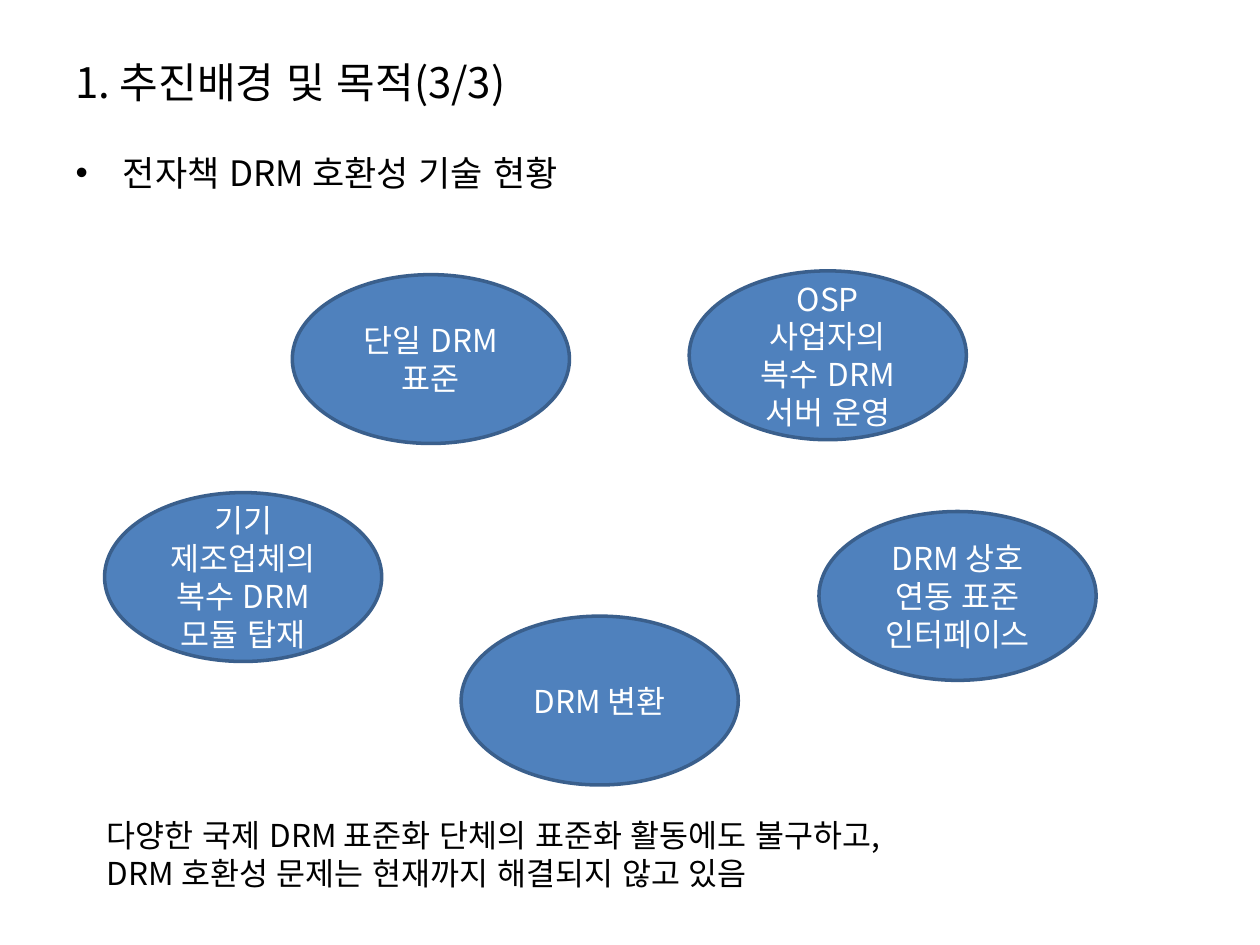
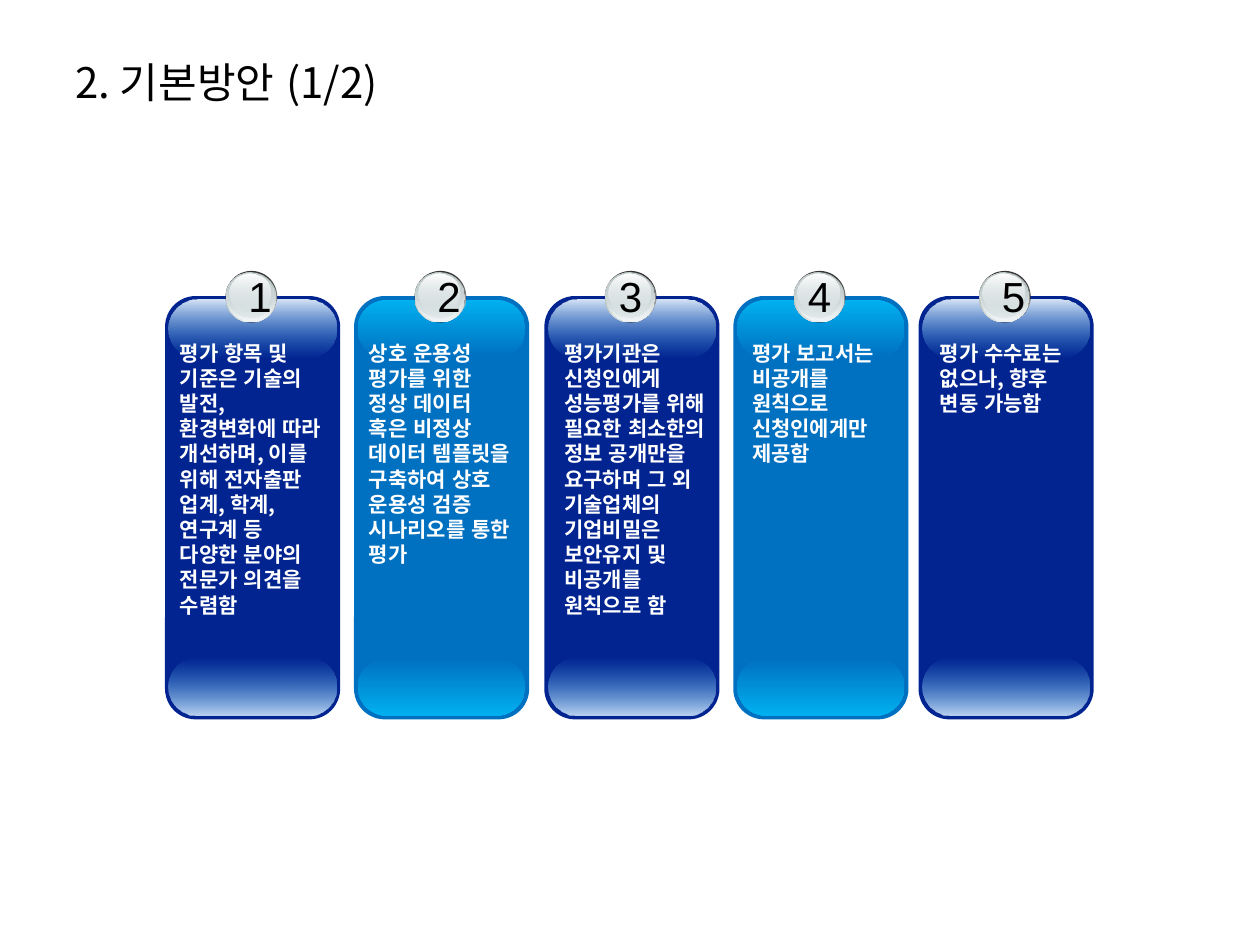
from dataclasses import dataclass

from lxml import etree
from pptx import Presentation
from pptx.dml.color import RGBColor
from pptx.enum import lang, shapes, text
from pptx.oxml.ns import qn
from pptx.util import Inches, Pt

KOREAN = "Noto Sans CJK KR"
BLACK, WHITE = "000000", "FFFFFF"
OVAL_FILL, OVAL_LINE = "4F81BD", "3A5F8C"
OVAL_SIZE = (2.2, 1.34)
PANEL_TOP, BADGE_TOP = 2.35, 2.15
BADGE_OFFSET = 0.48
LEFT, CENTER, JUSTIFY = (text.PP_ALIGN.LEFT, text.PP_ALIGN.CENTER,
                         text.PP_ALIGN.JUSTIFY)
OVAL, ROUNDED = shapes.MSO_SHAPE.OVAL, shapes.MSO_SHAPE.ROUNDED_RECTANGLE


@dataclass(frozen=True)
class Stop:
    color: str
    alpha: int = 100


@dataclass(frozen=True)
class Approach:
    label: str
    left: float
    top: float


@dataclass(frozen=True)
class Theme:
    base: str
    upper: tuple[Stop, Stop]
    lower: tuple[Stop, Stop]


@dataclass(frozen=True)
class Panel:
    left: float
    theme: Theme
    body: str
    text_shift: float
    number_shift: float


@dataclass(frozen=True)
class BadgeLayer:
    """One disc of the number badge, placed relative to the badge corner."""
    dx: float
    dy: float
    width: float
    height: float
    fill: str | tuple[Stop, Stop]


NAVY = Theme("022490", (Stop("D7E5F7"), Stop("3CA1E6", 0)),
             (Stop("3CA1E6", 0), Stop("BDD6F3")))
AZURE = Theme("0070C0", (Stop("00B0F0"), Stop("0070C0")),
              (Stop("0070C0"), Stop("00B0F0")))

BADGE = [
    BadgeLayer(0, 0, 0.41, 0.41, "333333"),
    BadgeLayer(0, 0.01, 0.4, 0.4, (Stop("99A1A2"), Stop("D6E1E2"))),
    BadgeLayer(0.01, 0.01, 0.39, 0.39, (Stop("D6E1E2", 0), Stop("F2F5F5"))),
    BadgeLayer(0.01, 0.01, 0.37, 0.36, (Stop("C1CBCC"), Stop("D6E1E2", 48))),
    BadgeLayer(0.03, 0.02, 0.33, 0.3, (Stop("FFFFFF"), Stop("D6E1E2", 38))),
]

APPROACHES = [
    Approach("단일 DRM 표준", 2.32, 2.18),
    Approach("OSP 사업자의 복수 DRM 서버 운영", 5.47, 2.15),
    Approach("기기 제조업체의 복수 DRM 모듈 탑재", 0.83, 3.91),
    Approach("DRM 변환", 3.66, 4.89),
    Approach("DRM 상호 연동 표준 인터페이스", 6.5, 4.06),
]

CONCLUSION = [
    "다양한 국제 DRM 표준화 단체의 표준화 활동에도 불구하고,",
    "DRM 호환성 문제는 현재까지 해결되지 않고 있음",
]

PANELS = [
    Panel(1.31, NAVY, "평가 항목 및 기준은 기술의 발전, 환경변화에 따라 개선하며, "
          "이를 위해 전자출판 업계, 학계, 연구계 등 다양한 분야의 전문가 의견을 수렴함",
          0.02, 0.07),
    Panel(2.81, AZURE, "상호 운용성 평가를 위한 정상 데이터 혹은 비정상 데이터 "
          "템플릿을 구축하여 상호 운용성 검증 시나리오를 통한 평가", 0.02, 0.07),
    Panel(4.32, NAVY, "평가기관은 신청인에게 성능평가를 위해 필요한 최소한의 정보 "
          "공개만을 요구하며 그 외 기술업체의 기업비밀은 보안유지 및 비공개를 "
          "원칙으로 함", 0.06, 0),
    Panel(5.82, AZURE, "평가 보고서는 비공개를 원칙으로 신청인에게만 제공함", 0.05, 0),
    Panel(7.29, NAVY, "평가 수수료는 없으나, 향후 변동 가능함", 0.07, 0.07),
]


def rgb(color: str) -> RGBColor:
    return RGBColor.from_string(color)


def place(sp, left: float, top: float, width: float, height: float) -> None:
    sp.left, sp.top = Inches(left), Inches(top)
    sp.width, sp.height = Inches(width), Inches(height)


def write(tf, lines: list[str], size: int, color: str = BLACK,
          align=LEFT, font: str = KOREAN, bold: bool = False) -> None:
    """Fill a text frame with one paragraph per line in a single style."""
    tf.word_wrap = True
    for i, line in enumerate(lines):
        p = tf.paragraphs[0] if i == 0 else tf.add_paragraph()
        r = p.add_run()
        r.text = line
        r.font.language_id = lang.MSO_LANGUAGE_ID.KOREAN
        p.alignment = align
        p.font.size, p.font.bold = Pt(size), bold
        p.font.color.rgb = rgb(color)
        p.font.name = font
        ea = etree.SubElement(p._p.pPr.find(qn("a:defRPr")), qn("a:ea"))
        ea.set("typeface", font)


def paint(sp, fill: str | tuple[Stop, Stop]) -> None:
    """Apply a solid colour or a top-to-bottom gradient."""
    if isinstance(fill, str):
        sp.fill.solid()
        sp.fill.fore_color.rgb = rgb(fill)
        return
    sp.fill.gradient()
    sp.fill.gradient_angle = 270
    for target, stop in zip(sp.fill.gradient_stops, fill):
        target.color.rgb = rgb(stop.color)
    colors = sp._element.spPr.iter(qn("a:srgbClr"))
    for color, stop in zip(colors, fill):
        if stop.alpha < 100:
            alpha = etree.SubElement(color, qn("a:alpha"))
            alpha.set("val", str(stop.alpha * 1000))


def add_filled(parent, kind, left: float, top: float, width: float,
               height: float, fill: str | tuple[Stop, Stop]):
    sp = parent.add_shape(kind, Inches(left), Inches(top),
                          Inches(width), Inches(height))
    sp.shadow.inherit = False
    paint(sp, fill)
    sp.line.fill.background()
    return sp


def add_text(parent, left: float, top: float, width: float, height: float,
             lines: list[str], size: int, **style):
    sp = parent.add_textbox(Inches(left), Inches(top),
                            Inches(width), Inches(height))
    write(sp.text_frame, lines, size, **style)
    return sp


def add_titled_slide(prs, layout: int, title: str):
    slide = prs.slides.add_slide(prs.slide_layouts[layout])
    place(slide.shapes.title, 0.5, 0.3, 9, 0.69)
    write(slide.shapes.title.text_frame, [title], 24)
    return slide


def add_approach(slide, approach: Approach) -> None:
    sp = add_filled(slide.shapes, OVAL, approach.left, approach.top,
                    *OVAL_SIZE, OVAL_FILL)
    sp.line.color.rgb = rgb(OVAL_LINE)
    sp.line.width = Pt(2)
    tf = sp.text_frame
    tf.vertical_anchor = text.MSO_ANCHOR.MIDDLE
    write(tf, [approach.label], 18, WHITE, CENTER)


def add_panel(slide, number: int, panel: Panel) -> None:
    parent = slide.shapes.add_group_shape().shapes
    left, theme = panel.left, panel.theme
    layers = [
        (0, PANEL_TOP, 1.39, 3.36, 0.175, theme.base),
        (0.02, 2.37, 1.35, 3.32, 0.167, theme.base),
        (0.03, 5.22, 1.33, 0.46, 0.5, theme.lower),
        (0.03, 2.38, 1.33, 0.46, 0.5, theme.upper),
    ]
    for dx, top, width, height, radius, fill in layers:
        sp = add_filled(parent, ROUNDED, left + dx, top, width, height, fill)
        sp.adjustments[0] = radius

    badge_left = left + BADGE_OFFSET
    for disc in BADGE:
        add_filled(parent, OVAL, badge_left + disc.dx, BADGE_TOP + disc.dy,
                   disc.width, disc.height, disc.fill)
    add_text(parent, badge_left + panel.number_shift, 2.1, 0.41, 0.5,
             [str(number)], 24, align=CENTER, font="Arial")
    add_text(parent, left + panel.text_shift, 2.65, 1.32, 2.12,
             [panel.body], 12, color=WHITE, bold=True)


def build_background_slide(prs) -> None:
    slide = add_titled_slide(prs, 1, "1. 추진배경 및 목적(3/3)")
    body = slide.placeholders[1]
    place(body, 0.5, 1.15, 9, 5.55)
    write(body.text_frame, ["전자책 DRM 호환성 기술 현황"], 20)
    for approach in APPROACHES:
        add_approach(slide, approach)
    note = add_text(slide.shapes, 0.75, 6.43, 8.74, 0.71, CONCLUSION, 18,
                    align=JUSTIFY)
    for p in note.text_frame.paragraphs:
        p._p.pPr.set("marL", str(Inches(0.39)))
        p._p.pPr.set("indent", str(-Inches(0.39)))


def build_policy_slide(prs) -> None:
    slide = add_titled_slide(prs, 5, "2. 기본방안 (1/2)")
    for number, panel in enumerate(PANELS, start=1):
        add_panel(slide, number, panel)


def main() -> None:
    prs = Presentation()
    prs.slide_width, prs.slide_height = Inches(10), Inches(7.5)
    build_background_slide(prs)
    build_policy_slide(prs)
    prs.save("out.pptx")


if __name__ == "__main__":
    main()
